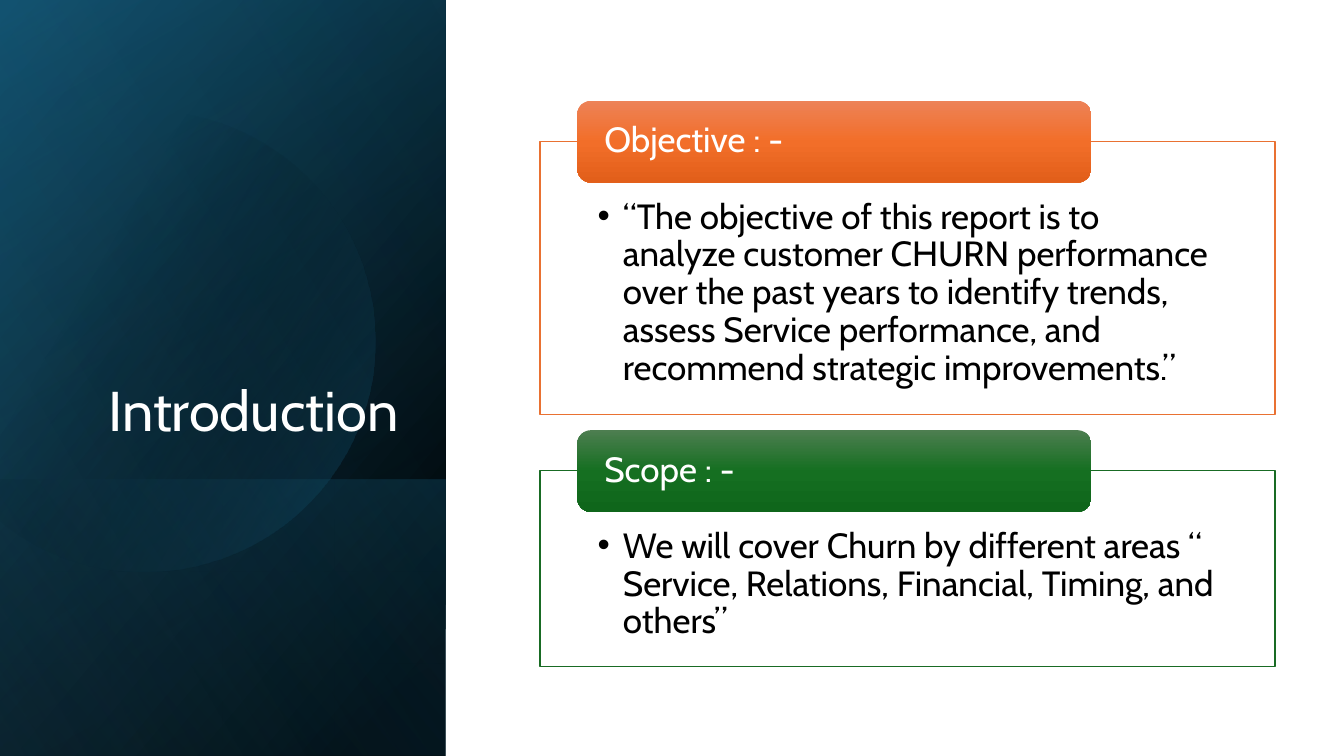
from lxml.etree import SubElement
from pptx import Presentation
from pptx.dml.color import RGBColor
from pptx.enum.shapes import MSO_SHAPE
from pptx.enum.text import MSO_ANCHOR, PP_ALIGN
from pptx.oxml.ns import qn
from pptx.util import Cm, Pt

SIDE_W, SLIDE_H = 11.23, 19.05


def rgb(hex_color):
    return RGBColor.from_string(hex_color)


def bezier(p0, p1, p2, p3, steps=24):
    """Points along a cubic curve, without its first point."""
    for i in range(1, steps + 1):
        t = i / steps
        u = 1 - t
        yield tuple(u**3 * a + 3 * u * u * t * b + 3 * u * t * t * c + t**3 * d
                    for a, b, c, d in zip(p0, p1, p2, p3))


class IntroSlide:
    font = "Cabin"

    def __init__(self, prs):
        self.s = prs.slides.add_slide(prs.slide_layouts[6])

    def gradient(self, sp, stops, angle):
        """Fill with (position, colour, opacity) stops in percent, without an outline."""
        sp.shadow.inherit = False
        sp.line.fill.background()
        sp.fill.gradient()
        grad = sp.element.spPr.find(qn("a:gradFill"))
        gs_list = grad.find(qn("a:gsLst"))
        for gs in list(gs_list):
            gs_list.remove(gs)
        for pos, color, opacity in stops:
            gs = SubElement(gs_list, qn("a:gs"), pos=str(pos * 1000))
            clr = SubElement(gs, qn("a:srgbClr"), val=color)
            if opacity < 100:
                SubElement(clr, qn("a:alpha"), val=str(opacity * 1000))
        grad.find(qn("a:lin")).set("ang", str(angle * 60000))

    def backdrop(self, top, stops, angle):
        """Mirrored, quarter-turned rectangle filling the side band from top down."""
        height = SLIDE_H - top
        sp = self.s.shapes.add_shape(
            MSO_SHAPE.RECTANGLE, Cm((SIDE_W - height) / 2),
            Cm(top + (height - SIDE_W) / 2), Cm(height), Cm(SIDE_W))
        sp.rotation = 90
        sp.element.spPr.find(qn("a:xfrm")).set("flipH", "1")
        self.gradient(sp, stops, angle)

    def disc(self, start, curves, stops, angle):
        points = [start]
        for curve in curves:
            if len(curve) == 1:
                points.append(curve[0])
            else:
                points.extend(bezier(points[-1], *curve))
        points = [(Cm(x), Cm(y)) for x, y in points]
        fb = self.s.shapes.build_freeform(*points[0])
        fb.add_line_segments(points[1:], close=True)
        self.gradient(fb.convert_to_shape(), stops, angle)

    def label(self, sp, text, size, color, insets, anchor, align=PP_ALIGN.LEFT):
        """Set the text of a shape and return its paragraph."""
        tf = sp.text_frame
        tf.text = text
        tf.word_wrap = True
        tf.vertical_anchor = anchor
        tf.margin_left, tf.margin_top, tf.margin_right, tf.margin_bottom = map(Cm, insets)
        p = tf.paragraphs[0]
        p.alignment = align
        p.line_spacing = 0.9
        r = p.runs[0]
        r.font.name = self.font
        r.font.size = Pt(size)
        r.font.color.rgb = rgb(color)
        return p

    def title(self, text):
        sp = self.s.shapes.add_textbox(Cm(1.63), Cm(4.67), Cm(8.66), Cm(6.65))
        self.label(sp, text, 40, "FFFFFF", (0.25, 0.13, 0.25, 0.13),
                   MSO_ANCHOR.BOTTOM, PP_ALIGN.RIGHT)

    def panel(self, top, height, color, text):
        sp = self.s.shapes.add_shape(
            MSO_SHAPE.RECTANGLE, Cm(13.61), Cm(top), Cm(18.52), Cm(height))
        sp.shadow.inherit = False
        sp.fill.solid()
        sp.fill.fore_color.rgb = rgb("FFFFFF")
        sp.line.color.rgb = rgb(color)
        sp.line.width = Pt(1)
        p = self.label(sp, text, 25, "000000", (1.45, 1.45, 1.45, 0.48), MSO_ANCHOR.TOP)
        pPr = p._p.get_or_add_pPr()
        pPr.set("marL", str(Cm(0.64)))
        pPr.set("indent", str(-Cm(0.64)))
        SubElement(pPr, qn("a:buFont"), typeface="Arial")
        SubElement(pPr, qn("a:buChar"), char="•")

    def header(self, panel_top, shades, text):
        sp = self.s.shapes.add_shape(
            MSO_SHAPE.ROUNDED_RECTANGLE, Cm(14.55), Cm(panel_top - 1.02), Cm(12.95), Cm(2.06))
        self.gradient(sp, [(pos, c, 100) for pos, c in zip((0, 50, 100), shades)], 90)
        self.label(sp, text, 25, "FFFFFF", (0.58, 0, 0.58, 0), MSO_ANCHOR.MIDDLE)


def main():
    prs = Presentation()
    prs.slide_width, prs.slide_height = Cm(33.87), Cm(SLIDE_H)
    intro = IntroSlide(prs)

    intro.backdrop(0, [(8, "000000", 100), (100, "104862", 100)], 50)
    intro.backdrop(0, [(0, "000000", 0), (99, "156082", 46)], 30)
    intro.backdrop(12.09, [(2, "156082", 29), (100, "000000", 30)], 130)
    intro.disc((3.78, 2.79), [
        ((6.25, 2.84), (8.51, 4.5), (9.22, 6.99)),
        ((10.11, 10.08), (8.33, 13.28), (5.26, 14.17)),
        ((3.33, 14.73), (1.35, 14.25), (0, 13.13)),
        ((0, 4.09),),
        ((0.58, 3.56), (1.27, 3.25), (2.03, 3.02)),
        ((2.62, 2.87), (3.2, 2.79), (3.78, 2.79)),
    ], [(29, "000000", 0), (100, "156082", 43)], 30)
    intro.backdrop(0, [(0, "000000", 0), (99, "46B1E1", 11)], 120)
    intro.title("Introduction")

    sections = [
        (3.56, 6.88, "E97132", ("ED8257", "F26E29", "E25F1A"), "Objective : -",
         "“The objective of this report is to analyze customer CHURN performance over the "
         "past years to identify trends, assess Service performance, and recommend "
         "strategic improvements.”"),
        (11.86, 4.93, "196B24", ("4D7E50", "156F21", "0F661B"), "Scope : -",
         "We will cover Churn by different areas “ Service, Relations, Financial, Timing, "
         "and others”"),
    ]
    for top, height, color, shades, heading, body in sections:
        intro.panel(top, height, color, body)
        intro.header(top, shades, heading)

    prs.save("out.pptx")


if __name__ == "__main__":
    main()
